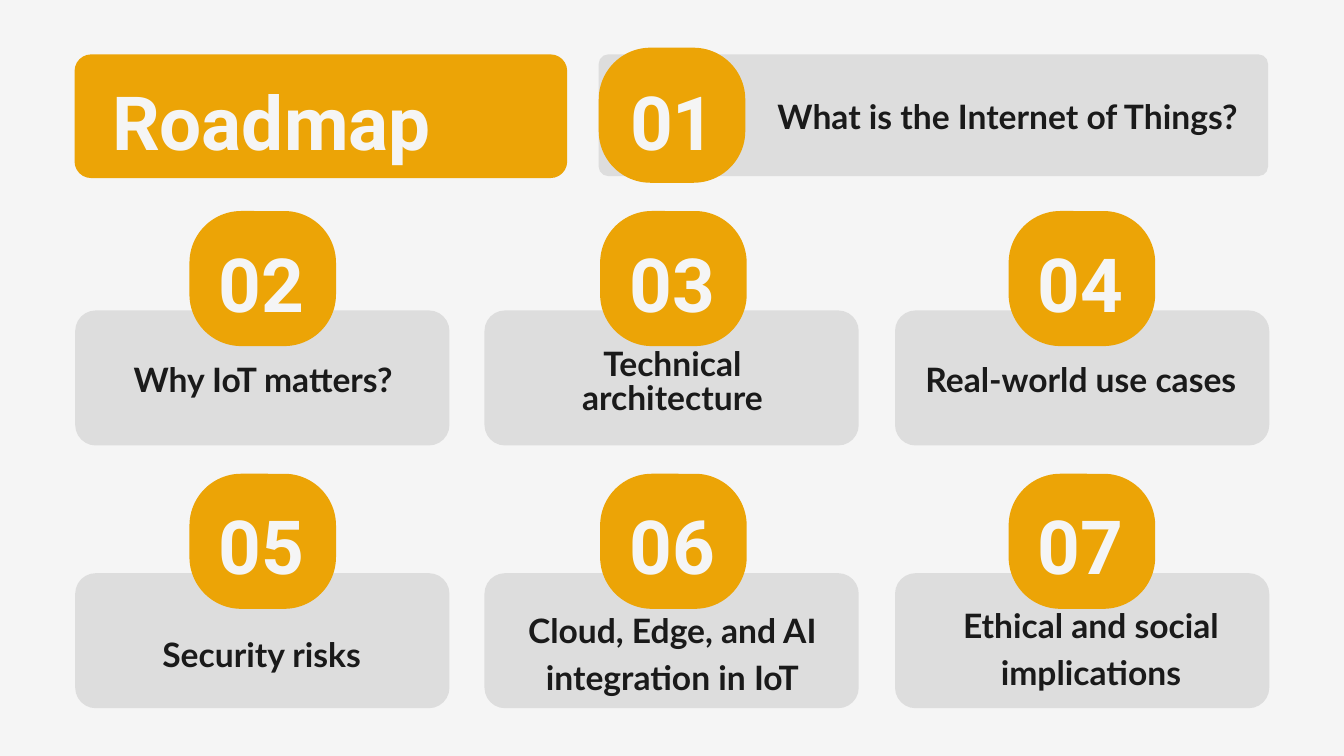
"""Build the roadmap slide of seven numbered topics."""
from dataclasses import dataclass

from pptx import Presentation
from pptx.dml.color import RGBColor
from pptx.enum.shapes import MSO_SHAPE
from pptx.enum.text import PP_ALIGN
from pptx.util import Pt

ROUNDED = MSO_SHAPE.ROUNDED_RECTANGLE
LEFT, CENTER = PP_ALIGN.LEFT, PP_ALIGN.CENTER


@dataclass(frozen=True)
class Theme:
    """Colours and type settings of the slide."""
    paper: RGBColor = RGBColor(0xF5, 0xF5, 0xF5)
    accent: RGBColor = RGBColor(0xEC, 0xA4, 0x06)
    card: RGBColor = RGBColor(0xDD, 0xDD, 0xDD)
    ink: RGBColor = RGBColor(0x1A, 0x1A, 0x1A)
    heading_font: str = "Roboto"
    heading_size: float = 80
    heading_leading: float = 112
    label_font: str = "Lato"
    label_size: float = 36
    label_leading: float = 50.4
    tight_leading: float = 36


THEME = Theme()
HEADING = {"name": THEME.heading_font, "size": Pt(THEME.heading_size), "bold": True}
LABEL = {"name": THEME.label_font, "size": Pt(THEME.label_size), "bold": True}

CARD_SIZE = (401, 144.7)
BADGE_SIZE = (157, 144.7)
CARD_LEFTS = (80.6, 519.1, 959)
BADGE_LEFTS = (203, 643, 1080.7)
FIRST_CARD_TOP, FIRST_BADGE_TOP, ROW_STEP = 332.6, 226.1, 281.5
LABEL_WIDTH = 334.8

TOPICS = (
    ("Why IoT matters?", 114.5, 377.3, 49, THEME.label_leading),
    ("Technical architecture", 553, 375.1, 74.9, THEME.tight_leading),
    ("Real-world use cases", 990.7, 377.3, 49, THEME.label_leading),
    ("Security risks", 113, 671.8, 49, THEME.label_leading),
    ("Cloud, Edge, and AI integration in IoT", 553, 646.6, 99.4, THEME.label_leading),
    ("Ethical and social implications", 1001.5, 640.8, 99.4, THEME.label_leading),
)


def add_panel(page, left, top, width, height, radius, color):
    """Add a flat rounded panel with the given corner radius."""
    panel = page.shapes.add_shape(ROUNDED, Pt(left), Pt(top), Pt(width), Pt(height))
    panel.adjustments[0] = radius / min(width, height)
    panel.shadow.inherit = False
    panel.fill.solid()
    panel.fill.fore_color.rgb = color
    panel.line.fill.background()


def add_text(page, text, left, top, width, height, style, color, leading, align=CENTER):
    """Add a wrapping text box without insets."""
    box = page.shapes.add_textbox(Pt(left), Pt(top), Pt(width), Pt(height))
    frame = box.text_frame
    frame_format = {"word_wrap": True, "margin_left": 0, "margin_top": 0,
                    "margin_right": 0, "margin_bottom": 0}
    para = frame.paragraphs[0]
    span = para.add_run()
    span.text = text
    span.font.color.rgb = color
    para_format = {"alignment": align, "line_spacing": Pt(leading)}
    for target, values in ((frame, frame_format), (para, para_format), (span.font, style)):
        for name, value in values.items():
            setattr(target, name, value)


def add_heading(page, text, left, top, width, align=CENTER):
    """Add large light text for the title or a number."""
    add_text(page, text, left, top, width, 108, HEADING, THEME.paper,
             THEME.heading_leading, align)


def add_label(page, text, left, top, width, height, leading):
    """Add the dark name of a topic."""
    add_text(page, text, left, top, width, height, LABEL, THEME.ink, leading)


def add_badge(page, number, left, top, shift_x=-2.2, shift_y=12.2):
    """Add an accent badge with its two-digit number."""
    add_panel(page, left, top, *BADGE_SIZE, 55.4, THEME.accent)
    add_heading(page, f"{number:02d}", left + shift_x, top + shift_y, 159)


def add_title(page):
    """Add the title on its accent panel."""
    add_panel(page, 79.9, 58.3, 527.8, 132.5, 17.8, THEME.accent)
    add_heading(page, "Roadmap", 120.2, 65.5, 477.4, LEFT)


def add_opening_topic(page):
    """Add the wide first topic beside the title."""
    add_panel(page, 641.5, 58.3, 717.1, 130.3, 10, THEME.card)
    add_label(page, "What is the Internet of Things?", 817.9, 95.8, 523.4, 49,
              THEME.label_leading)
    add_badge(page, 1, 641.5, 51.1, shift_x=0, shift_y=14.4)


def add_topic(page, index, text, left, top, height, leading):
    """Add one topic of the three-column grid."""
    row, column = divmod(index, len(CARD_LEFTS))
    drop = row * ROW_STEP
    add_panel(page, CARD_LEFTS[column], FIRST_CARD_TOP + drop, *CARD_SIZE, 22, THEME.card)
    add_badge(page, index + 2, BADGE_LEFTS[column], FIRST_BADGE_TOP + drop)
    add_label(page, text, left, top, LABEL_WIDTH, height, leading)


def main():
    """Build and save the deck."""
    deck = Presentation()
    deck.slide_width, deck.slide_height = Pt(1440), Pt(810)
    page = deck.slides.add_slide(deck.slide_layouts[6])
    page.background.fill.solid()
    page.background.fill.fore_color.rgb = THEME.paper
    add_title(page)
    add_opening_topic(page)
    for index, topic in enumerate(TOPICS):
        add_topic(page, index, *topic)
    deck.save("out.pptx")


if __name__ == "__main__":
    main()
